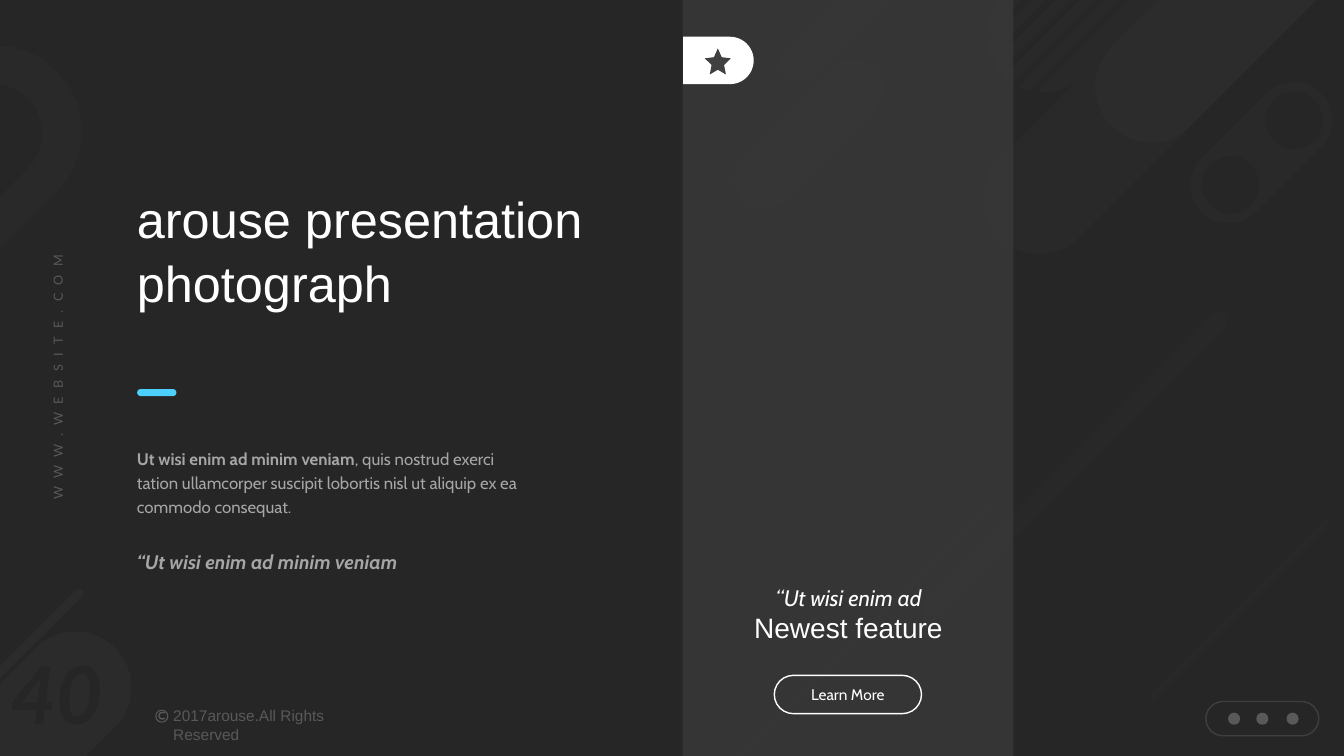
from lxml import etree
from pptx import Presentation
from pptx.dml.color import RGBColor
from pptx.enum.shapes import MSO_SHAPE
from pptx.enum.text import MSO_ANCHOR, PP_ALIGN
from pptx.oxml.ns import qn
from pptx.util import Inches, Pt

PILL = MSO_SHAPE.ROUNDED_RECTANGLE
OVAL = MSO_SHAPE.OVAL
RECT = MSO_SHAPE.RECTANGLE
LEFT, CENTER = PP_ALIGN.LEFT, PP_ALIGN.CENTER

COLORS = {
    "night": "262626",
    "gray": "404040",
    "dim": "595959",
    "soft": "A6A6A6",
    "white": "FFFFFF",
    "accent": "4BD1FB",
}

prs = Presentation()
prs.slide_width, prs.slide_height = Inches(13.33), Inches(7.5)
slide = prs.slides.add_slide(prs.slide_layouts[6])
slide.background.fill.solid()
slide.background.fill.fore_color.rgb = RGBColor.from_string(COLORS["night"])


def paint(shape, fill=None, opacity=100, line=None):
    """Give a shape a flat fill, a 1 pt outline, or both; opacity is in percent."""
    shape.shadow.inherit = False
    for part, color in ((shape.fill, fill), (shape.line.fill, line)):
        if color is None:
            part.background()
            continue
        part.solid()
        part.fore_color.rgb = RGBColor.from_string(COLORS[color])
    if line:
        shape.line.width = Pt(1)
    if opacity < 100:
        for tint in shape._element.spPr.iter(qn("a:srgbClr")):
            etree.SubElement(tint, qn("a:alpha"), val=str(opacity * 1000))
    return shape


def write(box, text, size, font, color, align=LEFT, spacing=None, bold=None, italic=None):
    """Fill a text box or shape with one paragraph."""
    box.text_frame.word_wrap = True
    line = box.text_frame.paragraphs[0]
    line.text = text
    line.alignment = align
    line.line_spacing = spacing
    line.font.size, line.font.name = Pt(size), font
    line.font.bold, line.font.italic = bold, italic
    line.font.color.rgb = RGBColor.from_string(COLORS[color])
    return line


shapes = slide.shapes

# Curved band at the left edge: start point, then straight or cubic pieces
band_start = (0, 0.46)
band_pieces = [
    [(0.08, 0.46)],
    [(0.2, 0.48), (0.32, 0.52), (0.42, 0.59)],
    [(0.56, 0.7)],
    [(0.67, 0.84)],
    [(0.89, 1.17), (0.85, 1.62), (0.56, 1.91)],
    [(0, 2.47)],
    [(0, 1.95)],
    [(0.28, 1.67)],
    [(0.47, 1.48), (0.47, 1.17), (0.28, 0.98)],
    [(0.21, 0.91), (0.12, 0.86), (0.03, 0.84)],
    [(0, 0.84)],
]
outline = [band_start]
for piece in band_pieces:
    if len(piece) == 1:
        outline += piece
        continue
    curve = [outline[-1]] + piece
    for step in range(1, 13):
        t = step / 12
        weights = ((1 - t) ** 3, 3 * t * (1 - t) ** 2, 3 * t * t * (1 - t), t ** 3)
        outline.append(tuple(sum(w * p[axis] for w, p in zip(weights, curve)) for axis in (0, 1)))
band = shapes.build_freeform(Inches(band_start[0]), Inches(band_start[1]), scale=1.0)
band.add_line_segments([(Inches(x), Inches(y)) for x, y in outline[1:]], close=True)
paint(band.convert_to_shape(), "gray", 15)

# Diagonal background capsules: left, top, width, height, fill, opacity
capsules = [
    (11.53, -2.88, 1.11, 6.14, "gray", 15),
    (12.64, -3.99, 1.11, 6.14, "gray", 15),
    (11.57, -4.49, 1.11, 6.14, "gray", 15),
    (12.13, 0.68, 0.76, 1.67, "gray", 15),
    *[(9.69 + 0.2425 * i, -2.39, 0.06, 5.7, "night", 100) for i in range(5)],
    (-0.06, 6.16, 1.11, 1.83, "gray", 20),
    (0.28, 5.65, 0.09, 1.39, "gray", 20),
    (8.29, 4.44, 0.05, 4.17, "gray", 10),
    (10.56, 2.51, 0.2, 4.19, "gray", 10),
    (7.72, 0.41, 0.6, 1.83, "gray", 12),
    (8.26, -0.81, 0.38, 1.83, "gray", 15),
    (12.26, 4.8, 0.07, 2.49, "gray", 10),
]
for left, top, width, height, fill, opacity in capsules:
    capsule = shapes.add_shape(PILL, Inches(left), Inches(top), Inches(width), Inches(height))
    capsule.adjustments[0] = 0.5
    capsule.rotation = 45
    paint(capsule, fill, opacity)
for left, top in ((12.55, 0.91), (11.92, 1.55)):
    paint(shapes.add_shape(OVAL, Inches(left), Inches(top), Inches(0.57), Inches(0.57)), "night")

# Page number
page_number = shapes.add_textbox(Inches(-0.04), Inches(6.36), Inches(1.2), Inches(1.03))
page_number.text_frame.vertical_anchor = MSO_ANCHOR.MIDDLE
write(page_number, "40", 57, "Lato", "night", CENTER, bold=True, italic=True)

# Copyright sign and line
ring = shapes.add_shape(MSO_SHAPE.DONUT, Inches(1.54), Inches(7.04), Inches(0.13), Inches(0.13))
ring.adjustments[0] = 0.08
letter_c = shapes.add_shape(MSO_SHAPE.BLOCK_ARC, Inches(1.57), Inches(7.06), Inches(0.08), Inches(0.08))
for i, value in enumerate((27, 189, 0.17)):  # opening from 45 to 315 degrees, thickness
    letter_c.adjustments[i] = value
for sign in (ring, letter_c):
    paint(sign, "dim")
rights = shapes.add_textbox(Inches(1.62), Inches(6.96), Inches(1.8), Inches(0.47))
write(rights, "2017arouse.All Rights Reserved", 11, "Arial", "dim")

# Vertical web address
website = shapes.add_textbox(Inches(-0.87), Inches(3.62), Inches(2.89), Inches(0.25))
website.rotation = 270
address = write(website, "WWW.WEBSITE.COM", 9, "Lato", "dim", CENTER)
address.runs[0].font._element.set("spc", "600")

# Social pill with plain dots
social = shapes.add_shape(PILL, Inches(11.96), Inches(6.96), Inches(1.12), Inches(0.34))
social.adjustments[0] = 0.5
paint(social, line="dim", opacity=50)
for center in (12.24, 12.52, 12.82):
    paint(shapes.add_shape(OVAL, Inches(center - 0.06), Inches(7.07), Inches(0.12), Inches(0.12)), "dim")

# Feature panel
paint(shapes.add_shape(RECT, Inches(6.77), 0, Inches(3.28), Inches(7.5)), "gray", 60)

# Story on the left
story = shapes.add_textbox(Inches(1.26), Inches(4.36), Inches(4.06), Inches(0.83))
opening = write(story, "Ut wisi enim ad minim veniam", 12, "Cabin", "soft", spacing=1.2)
opening.runs[0].font.bold = True
opening.add_run().text = (
    ", quis nostrud exerci tation ullamcorper suscipit lobortis nisl ut aliquip ex ea commodo consequat."
)
quote = shapes.add_textbox(Inches(1.26), Inches(5.36), Inches(4.06), Inches(0.36))
write(quote, "“Ut wisi enim ad minim veniam", 14, "Cabin", "soft", spacing=1.2, bold=True, italic=True)
dash = shapes.add_shape(PILL, Inches(1.36), Inches(3.86), Inches(0.39), Inches(0.07))
dash.adjustments[0] = 0.5
paint(dash, "accent")
title = shapes.add_textbox(Inches(1.26), Inches(1.78), Inches(4.8), Inches(1.92))
write(title, "arouse presentation photograph", 36, "Arial", "white", spacing=1.06)

# Star tab
tab = shapes.add_shape(MSO_SHAPE.ROUND_2_SAME_RECTANGLE, Inches(6.89), Inches(0.25), Inches(0.47), Inches(0.7))
tab.adjustments[0] = 0.5
tab.rotation = 90
paint(tab, "white")
star = shapes.add_shape(MSO_SHAPE.STAR_5_POINT, Inches(6.99), Inches(0.48), Inches(0.26), Inches(0.26))
star.adjustments[0] = 0.239
paint(star, "gray")

# Button and feature caption
button = shapes.add_shape(PILL, Inches(7.68), Inches(6.7), Inches(1.46), Inches(0.38))
button.adjustments[0] = 0.5
paint(button, line="white")
button.text_frame.vertical_anchor = MSO_ANCHOR.MIDDLE
write(button, "Learn More", 11, "Cabin", "white", CENTER)
feature = shapes.add_textbox(Inches(7.22), Inches(6.01), Inches(2.39), Inches(0.44))
write(feature, "Newest feature", 20, "Arial", "white", CENTER)
feature_quote = shapes.add_textbox(Inches(7.47), Inches(5.69), Inches(1.89), Inches(0.39))
write(feature_quote, "“Ut wisi enim ad", 16, "Cabin", "white", CENTER, 1.2, italic=True)

prs.save("out.pptx")
